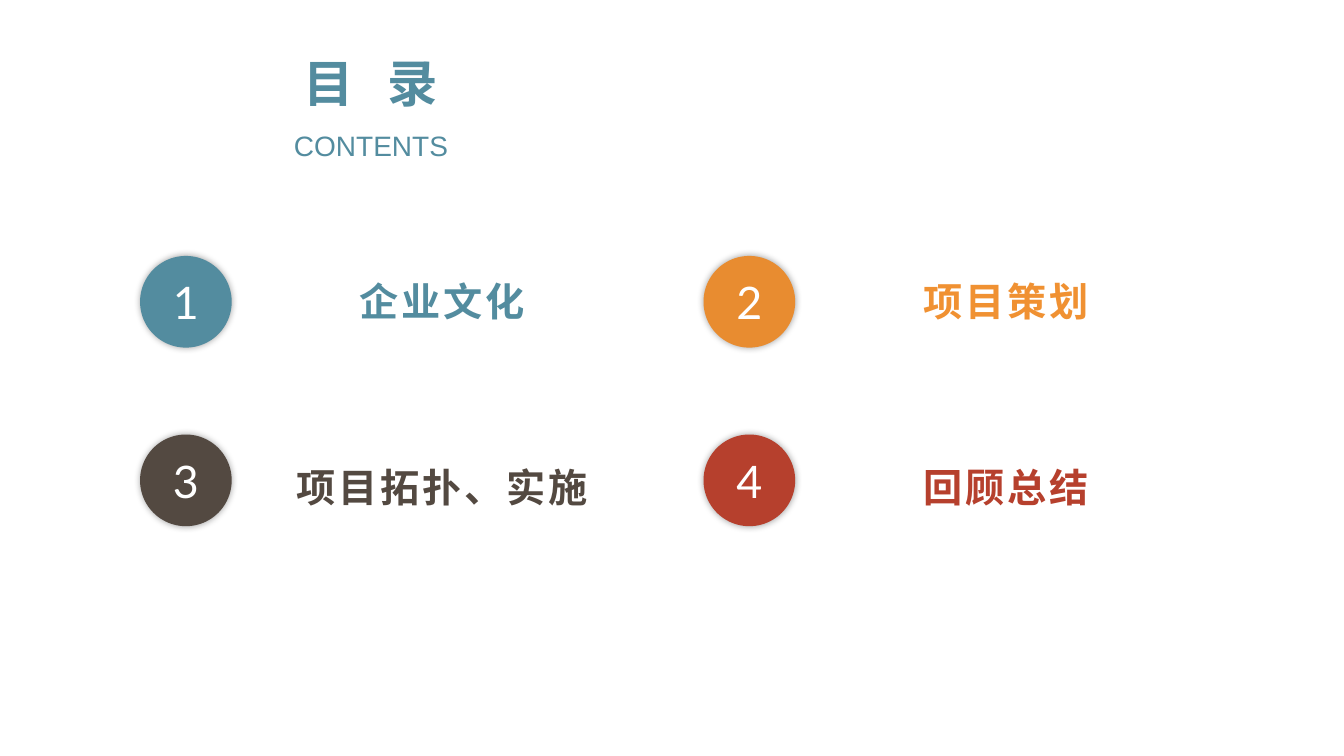
from dataclasses import dataclass

from lxml import etree
from pptx import Presentation
from pptx.dml.color import RGBColor
from pptx.enum import shapes, text
from pptx.oxml import ns
from pptx.util import Cm, Pt


@dataclass(frozen=True)
class Theme:
    teal: str = "538C9F"
    amber: str = "E88C30"
    orange: str = "F09132"
    brown: str = "534941"
    red: str = "B6402D"
    white: str = "FFFFFF"
    cjk_font: str = "Noto Sans CJK SC"
    latin_font: str = "Arial"
    number_font: str = "Lato"
    title_size: int = 36
    subtitle_size: int = 20
    label_size: int = 28
    number_size: int = 32


THEME = Theme()
ENTRIES = [
    ("企业文化", THEME.teal, THEME.teal),
    ("项目策划", THEME.amber, THEME.orange),
    ("项目拓扑、实施", THEME.brown, THEME.brown),
    ("回顾总结", THEME.red, THEME.red),
]
COLUMNS = 2
LABEL_DROPS = (0.15, 0.33)


def format_span(span, font, size, color, bold=False, tracking=0):
    """Style a run for Latin and East Asian text; tracking is in points."""
    span.font.name = font
    span.font.size = Pt(size)
    span.font.bold = bold
    span.font.color.rgb = RGBColor.from_string(color)
    properties = span.font._element
    etree.SubElement(properties, ns.qn("a:ea"), typeface=font)
    if tracking:
        properties.set("spc", str(tracking * 100))


def add_glow(shape):
    """Give the shape a soft, centred shadow."""
    shape.shadow.inherit = False
    effects = shape._element.spPr.find(ns.qn("a:effectLst"))
    shadow = etree.SubElement(effects, ns.qn("a:outerShdw"),
                              blurRad=str(Pt(5)), dist="0", dir="0",
                              algn="ctr", rotWithShape="0")
    color = etree.SubElement(shadow, ns.qn("a:srgbClr"), val="000000")
    etree.SubElement(color, ns.qn("a:alpha"), val="35000")


def add_heading(page, left, top, width, height):
    title = page.shapes.title
    title.left, title.top, title.width, title.height = left, top, width, height
    frame = title.text_frame
    frame.text = "目 \nCONTENTS"
    frame.word_wrap = True
    frame.auto_size = text.MSO_AUTO_SIZE.NONE
    frame.vertical_anchor = text.MSO_ANCHOR.TOP
    for para in frame.paragraphs:
        para.alignment = text.PP_ALIGN.CENTER
        para.line_spacing = Pt(35.4)
        para.space_before = Pt(0)
    chinese, english = frame.paragraphs
    last = chinese.add_run()
    last.text = "录"
    for span, tracking in ((chinese.runs[0], 8), (last, 0)):
        format_span(span, THEME.cjk_font, THEME.title_size, THEME.teal,
                    bold=True, tracking=tracking)
    format_span(english.runs[0], THEME.latin_font, THEME.subtitle_size,
                THEME.teal)


def add_badge(page, left, top, size, number, color):
    badge = page.shapes.add_shape(shapes.MSO_SHAPE.OVAL, left, top, size, size)
    badge.fill.solid()
    badge.fill.fore_color.rgb = RGBColor.from_string(color)
    badge.line.fill.background()
    add_glow(badge)
    frame = badge.text_frame
    frame.text = str(number)
    frame.word_wrap = False
    frame.vertical_anchor = text.MSO_ANCHOR.MIDDLE
    para = frame.paragraphs[0]
    para.alignment = text.PP_ALIGN.CENTER
    format_span(para.runs[0], THEME.number_font, THEME.number_size,
                THEME.white)


def add_label(page, left, top, width, height, wording, color):
    box = page.shapes.add_textbox(left, top, width, height)
    frame = box.text_frame
    frame.text = wording
    frame.word_wrap = True
    para = frame.paragraphs[0]
    para.alignment = text.PP_ALIGN.CENTER
    para.line_spacing = 1.23
    format_span(para.runs[0], THEME.cjk_font, THEME.label_size, color,
                bold=True, tracking=2)


def add_contents(page, left, top, column_pitch, row_pitch):
    """Lay out the numbered entries row by row."""
    for index, (wording, badge_color, label_color) in enumerate(ENTRIES):
        row, column = divmod(index, COLUMNS)
        x = left + column * column_pitch
        y = top + row * row_pitch
        add_badge(page, x, y, Cm(2.31), index + 1, badge_color)
        add_label(page, x + Cm(2.68), y + Cm(LABEL_DROPS[row]),
                  Cm(9.88), Cm(2.54), wording, label_color)


def main():
    deck = Presentation()
    deck.slide_width, deck.slide_height = Cm(33.87), Cm(19.05)
    page = deck.slides.add_slide(deck.slide_layouts[5])
    add_heading(page, Cm(5.44), Cm(1.45), Cm(7.82), Cm(2.64))
    add_contents(page, Cm(3.53), Cm(6.45), Cm(14.2), Cm(4.5))
    deck.save("out.pptx")


if __name__ == "__main__":
    main()
